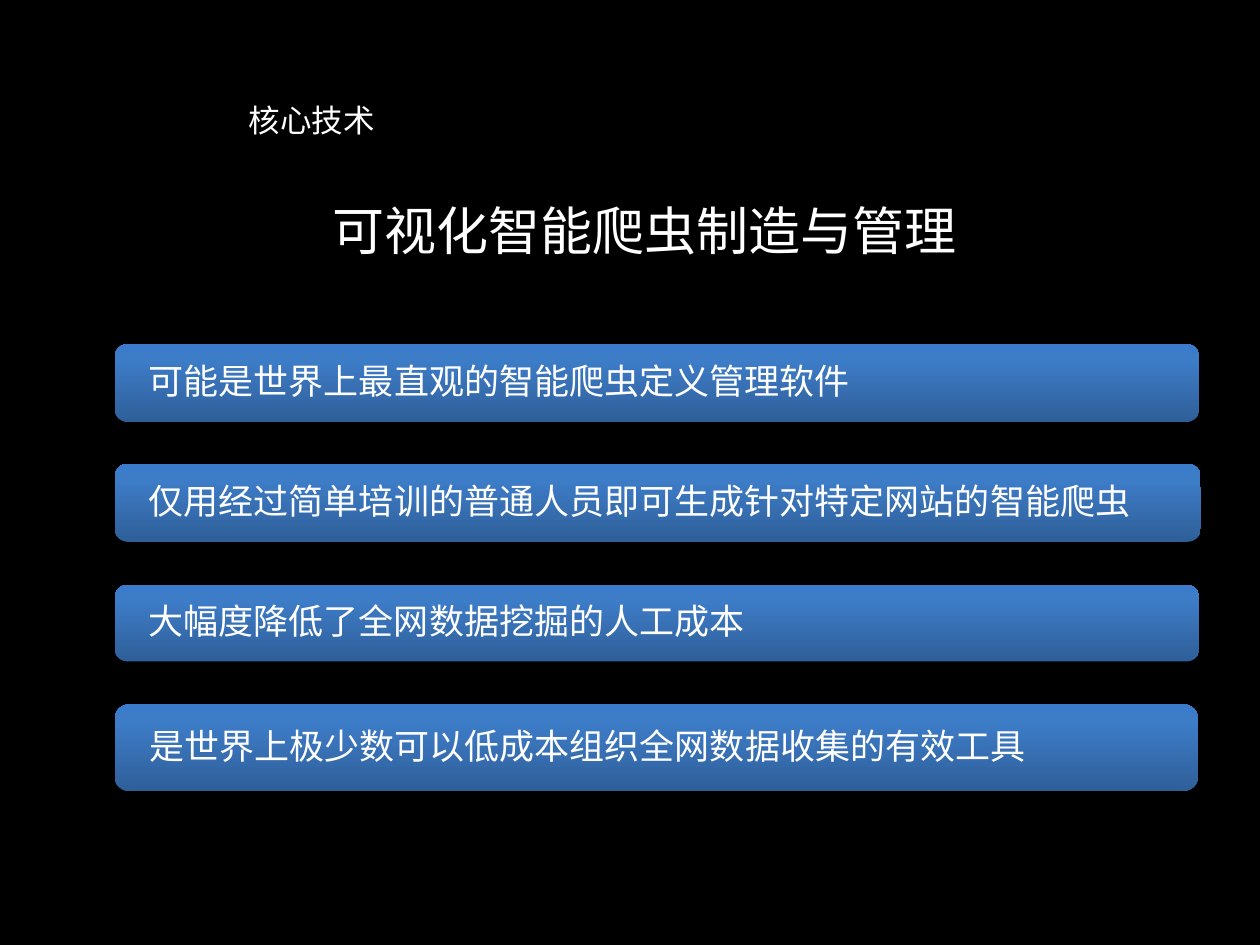
from copy import deepcopy

from lxml import etree
from pptx import Presentation
from pptx.dml.color import RGBColor
from pptx.enum.shapes import MSO_SHAPE
from pptx.enum.text import MSO_ANCHOR, PP_ALIGN
from pptx.oxml.ns import qn
from pptx.util import Inches, Pt

COLORS = {"black": "000000", "white": "FFFFFF", "bottom": "2F5F99",
          "middle": "3D7CC7", "top": "3A7CCB"}
CJK = "Noto Sans CJK SC"


def color(name):
    return RGBColor.from_string(COLORS[name])


def write(s, text, size, font, align, inset):
    tf = s.text_frame
    tf.text = text
    tf.word_wrap = True
    tf.vertical_anchor = MSO_ANCHOR.MIDDLE
    tf.margin_left = tf.margin_right = Inches(inset)
    p = tf.paragraphs[0]
    p.alignment = align
    r = p.runs[0]
    r.font.size = Pt(size)
    r.font.name = font
    r.font.color.rgb = color("white")
    etree.SubElement(r.font._element, qn("a:ea"), typeface=CJK)
    return p


prs = Presentation()
prs.slide_width, prs.slide_height = Inches(10), Inches(7.5)
slide = prs.slides.add_slide(prs.slide_layouts[5])
slide.background.fill.solid()
slide.background.fill.fore_color.rgb = color("black")

title = slide.shapes.title
title.left, title.top = Inches(1.69), Inches(0.6)
title.width, title.height = Inches(1.57), Inches(0.71)
subtitle = slide.shapes.add_shape(
    MSO_SHAPE.RECTANGLE, Inches(1.69), Inches(1.55), Inches(6.85), Inches(0.55))
subtitle.shadow.inherit = False
for s, text, size in [(title, "核心技术", 18),
                      (subtitle, "可视化智能爬虫制造与管理", 29.7)]:
    s.fill.solid()
    s.fill.fore_color.rgb = color("black")
    s.line.color.rgb = color("black")
    s.line.width = Pt(2)
    write(s, text, size, CJK, PP_ALIGN.CENTER, 0.1)

bars = [
    ("可能是世界上最直观的智能爬虫定义管理软件", 2.73, 8.61, 0.62),
    ("仅用经过简单培训的普通人员即可生成针对特定网站的智能爬虫", 3.68, 8.62, 0.62),
    ("大幅度降低了全网数据挖掘的人工成本", 4.64, 8.61, 0.61),
    ("是世界上极少数可以低成本组织全网数据收集的有效工具", 5.59, 8.6, 0.69),
]
for text, top, width, height in bars:
    bar = slide.shapes.add_shape(MSO_SHAPE.ROUNDED_RECTANGLE, Inches(0.91),
                                 Inches(top), Inches(width), Inches(height))
    bar.shadow.inherit = False
    bar.line.fill.background()
    bar.fill.gradient()
    bar.fill.gradient_angle = 90
    stops = bar._element.spPr.find(qn("a:gradFill")).find(qn("a:gsLst"))
    stops.append(deepcopy(stops[-1]))
    for stop, position, name in zip(bar.fill.gradient_stops, (0, 0.8, 1),
                                    ("bottom", "middle", "top")):
        stop.position = position
        stop.color.rgb = color(name)
    p = write(bar, text, 20, "Calibri", PP_ALIGN.LEFT, 0.24)
    bar.text_frame.margin_top = bar.text_frame.margin_bottom = 0
    p.line_spacing = 0.9

prs.save("out.pptx")
